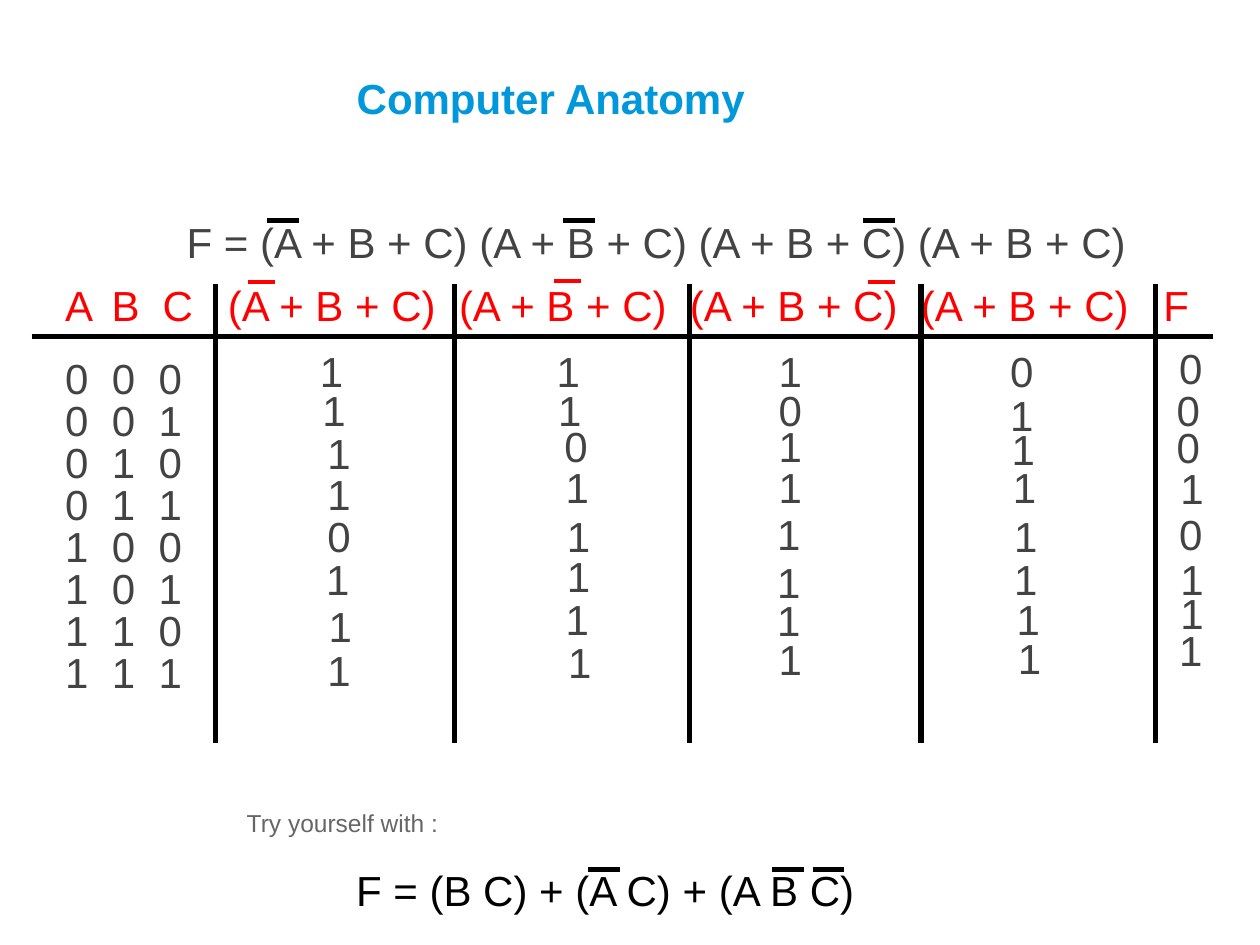
import itertools

import lxml.etree
import pptx
import pptx.dml.color
import pptx.enum.shapes
import pptx.enum.text
import pptx.oxml.ns
import pptx.util

Pt = pptx.util.Pt
GREY = "434343"
RED = "FF0000"
BLACK = "000000"
TERM = "(A + B + C)"

HEADER_TABS = [26.5, 55.7, 93, 225, 357, 489, 627.5]
BIT_TABS = [26.7, 53.4]
COLUMN_RULES = [105.1, 241.9, 375.8, 508.3, 642.2]
TERM_BARS = [(123.8, -0.7), (298.8, -1.4), (478.1, -0.7)]
RESULT_COLUMNS = [
    ("11110111",
     [157.7, 159.1, 162, 162, 162, 161.3, 162.7, 162],
     [31.7, 54, 78.5, 102.2, 126, 150.5, 177.8, 203]),
    ("11011111",
     [293, 293.8, 297.4, 298.1, 298.8, 298.8, 298.1, 299.5],
     [31.7, 54, 74.9, 97.9, 126, 149, 173.5, 198]),
    ("10111111",
     [419.8, 419.8, 419.8, 419.8, 419, 419, 419, 419.8],
     [31.7, 54, 74.9, 97.9, 125.3, 152.6, 174.2, 196.6]),
    ("01111111",
     [552.2, 552.2, 553, 553.7, 554.4, 554.4, 555.8, 556.6],
     [31.7, 56.9, 76.3, 97.9, 126, 150.5, 173.5, 195.8]),
    ("00010111",
     [648.7, 647.3, 647.3, 649.4, 648.7, 649.4, 649.4, 648.7],
     [30.2, 54, 75.6, 98.6, 125.3, 150.5, 169.9, 191.5]),
]


def colour(value):
    return pptx.dml.color.RGBColor.from_string(value)


def write(frame, wording, hue, size=24, bold=False, centred=False, tabs=(), inset=3.6):
    frame.word_wrap = True
    frame.auto_size = pptx.enum.text.MSO_AUTO_SIZE.NONE
    frame.margin_left = frame.margin_right = Pt(7.2)
    frame.margin_top = frame.margin_bottom = Pt(inset)
    frame.text = wording
    paragraph = frame.paragraphs[0]
    align = pptx.enum.text.PP_ALIGN
    paragraph.alignment = align.CENTER if centred else align.LEFT
    if tabs:
        qn = pptx.oxml.ns.qn
        stops = lxml.etree.SubElement(paragraph._p.get_or_add_pPr(), qn("a:tabLst"))
        for position in tabs:
            lxml.etree.SubElement(stops, qn("a:tab"), pos=str(int(Pt(position))), algn="l")
    for run in paragraph.runs:
        run.font.name = "Arial"
        run.font.size = Pt(size)
        run.font.bold = bold
        run.font.color.rgb = colour(hue)


def add_text(slide, left, top, width, height, wording, hue, **style):
    label = slide.shapes.add_textbox(Pt(left), Pt(top), Pt(width), Pt(height))
    write(label.text_frame, wording, hue, **style)


def add_rule(slide, left, top, width, height, hue=BLACK, weight=3):
    rule = slide.shapes.add_connector(
        pptx.enum.shapes.MSO_CONNECTOR.STRAIGHT,
        Pt(left), Pt(top), Pt(left + width), Pt(top + height))
    rule.line.color.rgb = colour(hue)
    rule.line.width = Pt(weight)
    lxml.etree.SubElement(rule._element.spPr, pptx.oxml.ns.qn("a:effectLst"))


def place_title(slide, left, top, width, height):
    title = slide.shapes.title
    title.left, title.top = Pt(left), Pt(top)
    title.width, title.height = Pt(width), Pt(height)
    write(title.text_frame, "Computer Anatomy", "0098DB", bold=True)
    title.text_frame.vertical_anchor = pptx.enum.text.MSO_ANCHOR.BOTTOM


def place_formula(slide, left, top, width, height, wording, hue, bar_lefts, bar_top):
    add_text(slide, left, top, width, height, wording, hue, centred=True)
    for bar_left in bar_lefts:
        add_rule(slide, left + bar_left, top + bar_top, 18, 0)


def place_truth_table(slide, left, top, width, height):
    header = "\t".join(["A", "B", "C"] + [TERM] * 4 + ["F"])
    add_text(slide, left + 12.2, top - 5.8, width, 37.4, header, RED, tabs=HEADER_TABS)
    for row, bits in enumerate(itertools.product("01", repeat=3)):
        add_text(slide, left + 12.2, top + 36 + 24 * row, 150, 37.4,
                 "\t".join(bits), GREY, tabs=BIT_TABS)

    for rule_left in COLUMN_RULES:
        add_rule(slide, left + rule_left, top, 0, height)
    add_rule(slide, left, top + 30.2, width, 0)
    for bar_left, bar_top in TERM_BARS:
        add_rule(slide, left + bar_left, top + bar_top, 15.5, 0, RED, 2.25)

    for results, lefts, tops in RESULT_COLUMNS:
        for result, result_left, result_top in zip(results, lefts, tops):
            add_text(slide, left + result_left, top + result_top, 28.1, 36.5, result, GREY)


def main():
    deck = pptx.Presentation()
    deck.slide_width, deck.slide_height = Pt(720), Pt(540)
    slide = deck.slides.add_slide(deck.slide_layouts[5])
    slide.background.fill.solid()
    slide.background.fill.fore_color.rgb = colour("FFFFFF")

    place_title(slide, 196.6, 36.7, 407.5, 37.4)
    place_formula(slide, 72, 120.2, 606.2, 36, "F = " + " ".join([TERM] * 4), GREY,
                  [80.6, 249.8, 421.2], 5.8)
    place_truth_table(slide, 18, 162, 675.4, 262.8)
    add_text(slide, 133.9, 454.3, 427, 49.7, "Try yourself with :", "666666",
             size=14, inset=7.2)
    place_formula(slide, 102.2, 490.3, 487.4, 37.4, "F = (B C) + (A C) + (A B C)", BLACK,
                  [234, 339.2, 362.2], 6.5)
    deck.save("out.pptx")


if __name__ == "__main__":
    main()
